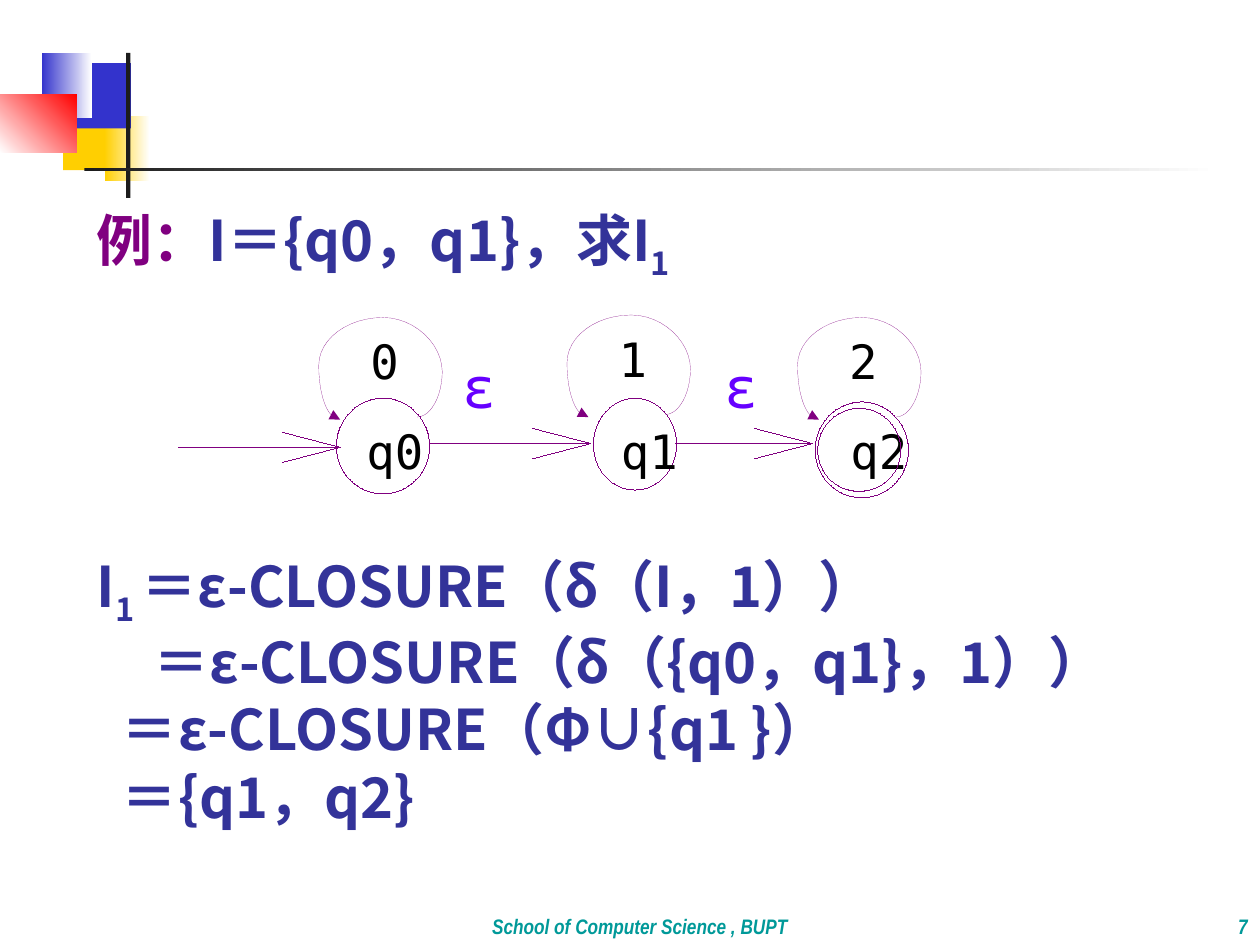
from lxml.etree import SubElement
from pptx import Presentation
from pptx.dml.color import RGBColor
from pptx.enum.shapes import MSO_CONNECTOR, MSO_SHAPE
from pptx.enum.text import MSO_ANCHOR, PP_ALIGN
from pptx.oxml.ns import qn
from pptx.util import Inches, Pt

COLUMNS, ROWS = 100, 75
WIDTH, HEIGHT = Inches(10), Inches(7.5)
SANS, MONO, NARROW = "Noto Sans CJK SC", "DejaVu Sans Mono", "Arial Narrow"
PURPLE, INDIGO, TEAL, VIOLET = "800080", "333399", "009999", "6600FF"
BLACK, WHITE, YELLOW, BLUE, RED = "1C1C1C", "FFFFFF", "FFCF01", "3333CC", "FF0000"

ORNAMENTS = [
    ((5, 8.3, 4.8, 5.2), [YELLOW], 0),
    ((8.3, 9.2, 3.6, 5.2), [YELLOW, WHITE], 0),
    ((5.8, 5, 4.6, 5.2), [BLUE], 0),
    ((3.3, 4.2, 4, 5.2), [BLUE, WHITE], 0),
    ((0, 7.5, 6.1, 4.6), [WHITE, RED], 45),
    ((10, 4.2, 0.35, 11.5), [BLACK], 0),
    ((6.7, 13.3, 90, 0.3), [BLACK, WHITE], 0),
]
STATES = [
    ("q0", "0", (26.7, 31.6, 7.4, 7.6), (25.3, 25.2), 28.8),
    ("q1", "1", (47.1, 31.6, 6.6, 7.3), (45, 25), 49),
    ("q2", "2", (64.7, 31.9, 7.4, 7.6), (63.3, 25.2), 67.2),
]
ARROWS = [(14.2, 27, 35.5), (34.1, 46.9, 35.2), (53.6, 64.5, 35.2)]
LOOP_CURVES = [
    ((7.8, 7.9), (8.9, 7.9), (9.8, 6.2), (9.8, 4.3)),
    ((9.8, 4.3), (9.8, 2.1), (7.6, 0), (5.1, 0)),
    ((5.1, 0), (2.3, 0), (0, 1.7), (0, 3.8)),
    ((0, 3.8), (0, 6.2), (0.7, 8.1), (1.7, 8.1)),
]
CLOSURE_LINES = [
    ("＝ε-CLOSURE（δ（{q0，q1}，1））", 4.5),
    ("＝ε-CLOSURE（Φ∪{q1 }）", 2),
    ("＝{q1，q2}", 2),
]


def color(code):
    """Return the colour for a hex string."""
    return RGBColor.from_string(code)


def across(columns):
    """Convert grid columns to a length."""
    return round(WIDTH * columns / COLUMNS)


def down(rows):
    """Convert grid rows to a length."""
    return round(HEIGHT * rows / ROWS)


def cell(left, top, width, height):
    """Convert a grid area to a position and size."""
    return across(left), down(top), across(width), down(height)


def add_ornament(page, area, shades, angle):
    """Add a borderless block with a plain or gradient fill."""
    block = page.shapes.add_shape(MSO_SHAPE.RECTANGLE, *cell(*area))
    block.shadow.inherit = False
    block.line.fill.background()
    if len(shades) == 1:
        block.fill.solid()
        block.fill.fore_color.rgb = color(shades[0])
        return
    block.fill.gradient()
    block.fill.gradient_angle = angle
    for stop, shade in zip(block.fill.gradient_stops, shades):
        stop.color.rgb = color(shade)


def add_box(page, area, margins=True, wrap=True, anchor=MSO_ANCHOR.TOP):
    """Add an empty text box and return its text frame."""
    frame = page.shapes.add_textbox(*cell(*area)).text_frame
    frame.word_wrap = wrap
    frame.vertical_anchor = anchor
    if not margins:
        frame.margin_left = frame.margin_right = 0
        frame.margin_top = frame.margin_bottom = 0
    return frame


def add_span(para, text, font=SANS, size=32, shade=INDIGO, bold=False, italic=False, baseline=0):
    """Add a formatted run to a paragraph."""
    span = para.add_run()
    span.text = text
    span.font.name = font
    span.font.size = Pt(size)
    span.font.bold = bold
    span.font.italic = italic
    span.font.color.rgb = color(shade)
    properties = span.font._element
    SubElement(properties, qn("a:ea")).set("typeface", font)
    if baseline:
        properties.set("baseline", str(baseline * 1000))


def add_label(page, text, area, **look):
    """Add a right-aligned one-line mono label without margins."""
    para = add_box(page, area, margins=False, wrap=False).paragraphs[0]
    para.alignment = PP_ALIGN.RIGHT
    add_span(para, text, font=MONO, **look)


def add_footer(page, text, area, align, spacing=1.0):
    """Add a footer text at the bottom of its area."""
    para = add_box(page, area, anchor=MSO_ANCHOR.BOTTOM).paragraphs[0]
    para.alignment = align
    para.line_spacing = spacing
    add_span(para, text, font=NARROW, size=12, shade=TEAL, bold=True, italic=True)


def style_line(item):
    """Give a shape or connector the purple hairline."""
    item.line.color.rgb = color(PURPLE)
    item.line._get_or_add_ln().set("w", "0")


def add_circle(page, area):
    """Add an unfilled state circle."""
    circle = page.shapes.add_shape(MSO_SHAPE.OVAL, *cell(*area))
    circle.shadow.inherit = False
    circle.fill.background()
    style_line(circle)


def add_line(page, start, end):
    """Add a straight hairline between two grid points."""
    ends = across(start[0]), down(start[1]), across(end[0]), down(end[1])
    line = page.shapes.add_connector(MSO_CONNECTOR.STRAIGHT, *ends)
    style_line(line)
    SubElement(line._element.spPr, qn("a:effectLst"))


def add_arrow(page, start, tip, row):
    """Add a horizontal arrow with a long open head."""
    for rise in (1.2, -1.2):
        add_line(page, (tip, row), (tip - 4.6, row + rise))
    add_line(page, (start, row), (tip, row))


def curve_points(curve, steps=12):
    """List points along a cubic curve after its start."""
    points = []
    for step in range(1, steps + 1):
        t = step / steps
        weights = ((1 - t) ** 3, 3 * t * (1 - t) ** 2, 3 * t * t * (1 - t), t ** 3)
        points.append([sum(w * p[axis] for w, p in zip(weights, curve)) for axis in (0, 1)])
    return points


def add_loop(page, left, top):
    """Add a self-loop that ends in a filled arrowhead."""
    points = [LOOP_CURVES[0][0]]
    for curve in LOOP_CURVES:
        points += curve_points(curve)
    points = [(across(left + x), down(top + y)) for x, y in points]
    builder = page.shapes.build_freeform(*points[0])
    builder.add_line_segments(points[1:], close=False)
    loop = builder.convert_to_shape()
    loop.shadow.inherit = False
    loop.fill.background()
    style_line(loop)
    SubElement(loop.line._get_or_add_ln(), qn("a:tailEnd")).set("type", "triangle")


def add_state(page, name, symbol, circle, loop, name_left):
    """Add a state with its name, self-loop and loop symbol."""
    left, top = loop
    add_circle(page, circle)
    add_loop(page, left, top)
    add_label(page, name, (name_left, 33.5, 4.8, 4.5), size=27, shade="000000")
    add_label(page, symbol, (left + 4.1, top + 1.2, 2, 4.5), size=27, shade="000000")


def add_example(page):
    """Add the question and the derivation of its closure."""
    frame = add_box(page, (6.7, 15.8, 86.7, 61.2))
    question = frame.paragraphs[0]
    add_span(question, "例：", shade=PURPLE, bold=True)
    add_span(question, "I＝{q0，q1}，求I", bold=True)
    add_span(question, "1", bold=True, baseline=-25)
    answer = frame.add_paragraph()
    answer.space_before = Pt(154)
    add_span(answer, "I", bold=True)
    add_span(answer, "1 ", bold=True, baseline=-25)
    add_span(answer, "＝ε-CLOSURE（δ（I，1））", bold=True)
    for text, indent in CLOSURE_LINES:
        para = frame.add_paragraph()
        para._p.get_or_add_pPr().set("indent", str(across(indent)))
        add_span(para, text, bold=True)
    for para in frame.paragraphs:
        para.alignment = PP_ALIGN.JUSTIFY


def main():
    """Build the slide and save the deck."""
    deck = Presentation()
    deck.slide_width, deck.slide_height = WIDTH, HEIGHT
    page = deck.slides.add_slide(deck.slide_layouts[6])
    for ornament in ORNAMENTS:
        add_ornament(page, *ornament)
    add_footer(page, "7", (83.3, 70, 16.7, 5), PP_ALIGN.RIGHT)
    add_footer(page, "School of Computer Science , BUPT", (15.8, 70, 70, 5), PP_ALIGN.CENTER, 1.1)
    add_example(page)
    for state in STATES:
        add_state(page, *state)
    add_circle(page, (64.9, 32.4, 6.6, 6.6))
    for arrow in ARROWS:
        add_arrow(page, *arrow)
    for left in (36.7, 57.5):
        add_label(page, "ε", (left, 28, 2.7, 5.3), shade=VIOLET)
    deck.save("out.pptx")


if __name__ == "__main__":
    main()
